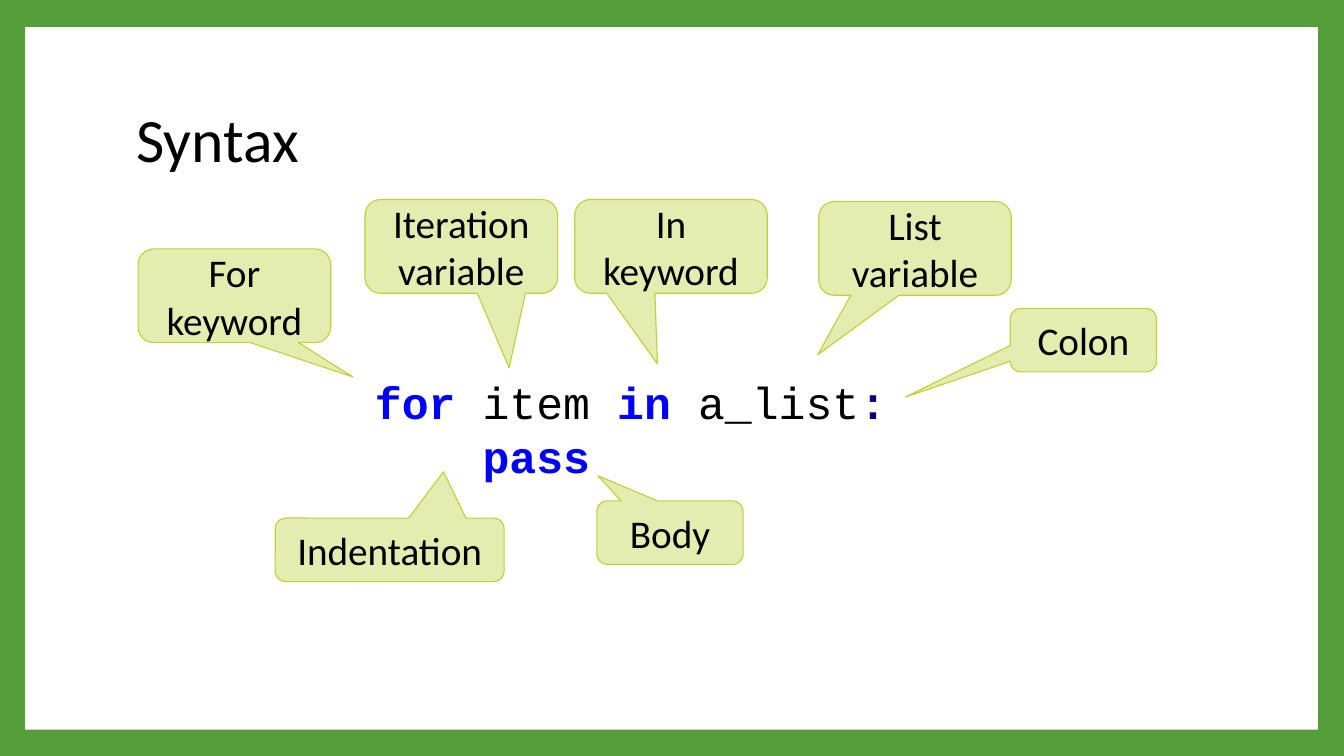
from dataclasses import dataclass

from pptx import Presentation
from pptx import util as u
from pptx.dml.color import RGBColor
from pptx.enum import shapes, text

PX = 9144  # EMU per px, 100 px to the inch

GREEN, WHITE, BLACK = "549E39", "FFFFFF", "000000"
CALLOUT_FILL, CALLOUT_LINE = "E4EDB0", "C0CF3A"
KEYWORD, OPERATOR = "0000FF", "000080"


@dataclass
class Box:
    left: int
    top: int
    width: int
    height: int

    def emu(self) -> list[int]:
        return [v * PX for v in (self.left, self.top, self.width, self.height)]


@dataclass
class Callout:
    label: str
    box: Box
    tip_x: int
    tip_y: int


CALLOUTS = [
    Callout("For keyword", Box(137, 247, 191, 93), 350, 374),
    Callout("Iteration variable", Box(362, 198, 191, 93), 505, 365),
    Callout("In keyword", Box(570, 198, 191, 93), 652, 361),
    Callout("List variable", Box(812, 200, 191, 93), 811, 352),
    Callout("Colon", Box(1002, 306, 145, 63), 898, 394),
    Callout("Body", Box(592, 497, 145, 63), 593, 472),
    Callout("Indentation", Box(273, 514, 227, 63), 440, 468),
]

# Each line of code is a list of (text, colour); coloured words are bold
CODE = [
    [("for", KEYWORD), (" item ", BLACK), ("in ", KEYWORD),
     ("a_list", BLACK), (":", OPERATOR)],
    [("    ", BLACK), ("pass", KEYWORD)],
]


def colour(value: str) -> RGBColor:
    return RGBColor.from_string(value)


def add_text(paragraph, content: str, *, size: int, font: str = "Calibri",
             fill: str = BLACK, bold: bool = False, align=text.PP_ALIGN.LEFT) -> None:
    paragraph.alignment = align
    run = paragraph.add_run()
    run.text = content
    run.font.name = font
    run.font.size = u.Pt(size)
    run.font.bold = bold
    run.font.color.rgb = colour(fill)


def add_filled(slide, kind, box: Box, fill: str):
    shape = slide.shapes.add_shape(kind, *box.emu())
    shape.shadow.inherit = False
    shape.fill.solid()
    shape.fill.fore_color.rgb = colour(fill)
    return shape


def add_title(slide, content: str, box: Box) -> None:
    title = slide.shapes.title
    title.left, title.top, title.width, title.height = box.emu()
    frame = title.text_frame
    frame.auto_size = text.MSO_AUTO_SIZE.NONE
    frame.vertical_anchor = text.MSO_ANCHOR.MIDDLE
    frame.paragraphs[0].line_spacing = 0.9
    add_text(frame.paragraphs[0], content, size=44)


def add_code(slide, box: Box) -> None:
    frame = slide.shapes.add_textbox(*box.emu()).text_frame
    frame.word_wrap = True
    frame.auto_size = text.MSO_AUTO_SIZE.SHAPE_TO_FIT_TEXT
    for index, line in enumerate(CODE):
        paragraph = frame.add_paragraph() if index else frame.paragraphs[0]
        for content, fill in line:
            add_text(paragraph, content, size=32, font="Courier New",
                     fill=fill, bold=fill != BLACK)


def add_callout(slide, callout: Callout) -> None:
    box = callout.box
    shape = add_filled(slide, shapes.MSO_SHAPE.ROUNDED_RECTANGULAR_CALLOUT,
                       box, CALLOUT_FILL)
    shape.line.color.rgb = colour(CALLOUT_LINE)
    shape.line.width = u.Pt(0.79)
    # The tip is measured from the centre, as a share of the box
    shape.adjustments[0] = (callout.tip_x - box.left) / box.width - 0.5
    shape.adjustments[1] = (callout.tip_y - box.top) / box.height - 0.5
    frame = shape.text_frame
    frame.word_wrap = True
    frame.vertical_anchor = text.MSO_ANCHOR.MIDDLE
    add_text(frame.paragraphs[0], callout.label, size=28, align=text.PP_ALIGN.CENTER)


def main() -> None:
    presentation = Presentation()
    presentation.slide_width, presentation.slide_height = 1333 * PX, 750 * PX
    slide = presentation.slides.add_slide(presentation.slide_layouts[5])

    # Green frame with a white panel behind the title
    slide.background.fill.solid()
    slide.background.fill.fore_color.rgb = colour(GREEN)
    panel = add_filled(slide, shapes.MSO_SHAPE.RECTANGLE, Box(25, 27, 1282, 697), WHITE)
    panel.line.fill.background()
    slide.shapes.title._element.addprevious(panel._element)

    # Title, code and its labels
    add_title(slide, "Syntax", Box(125, 67, 1080, 148))
    add_code(slide, Box(362, 367, 667, 118))
    for callout in CALLOUTS:
        add_callout(slide, callout)

    presentation.save("out.pptx")


if __name__ == "__main__":
    main()
